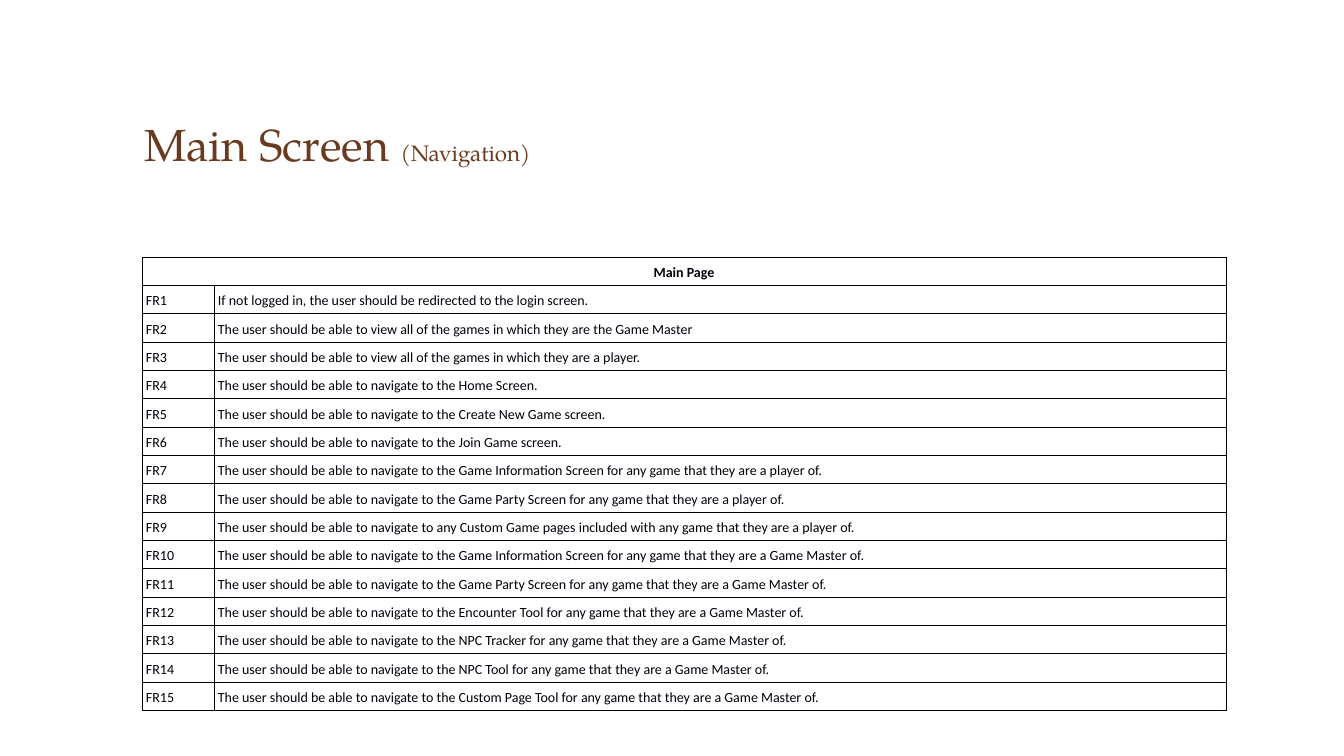
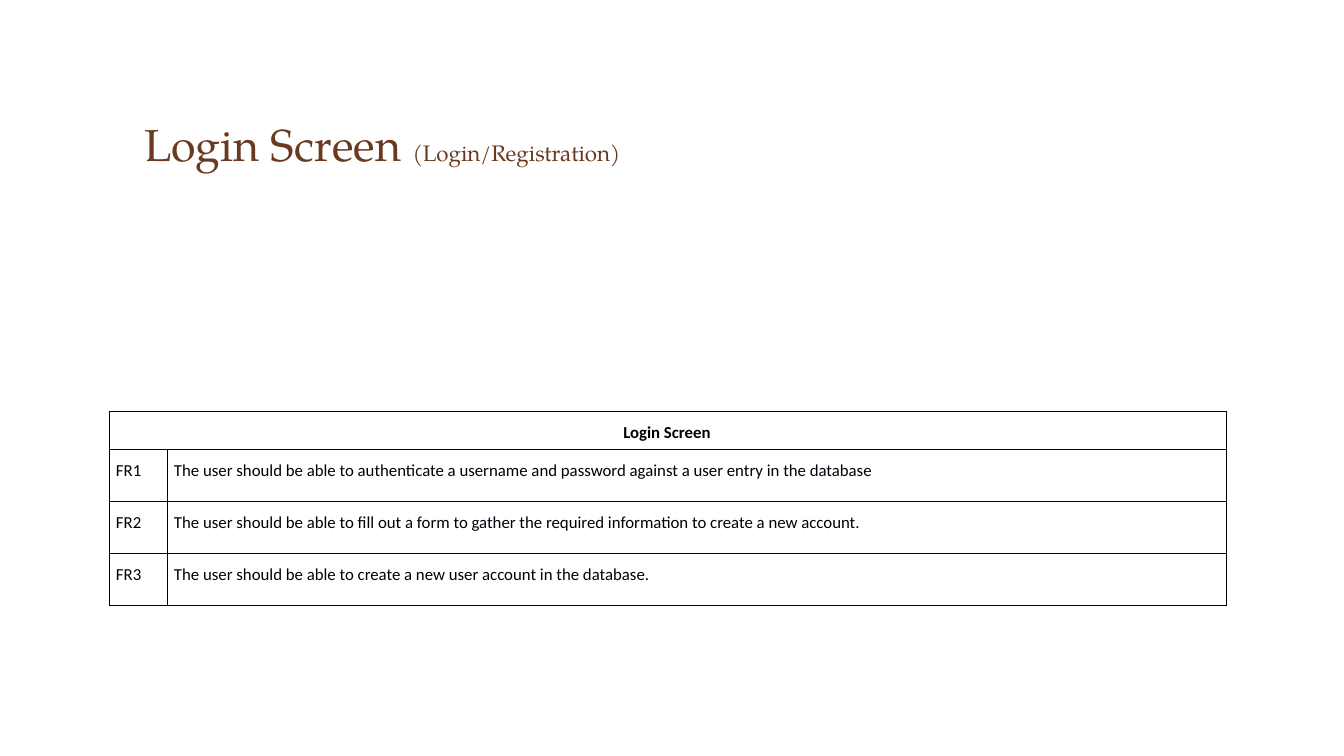
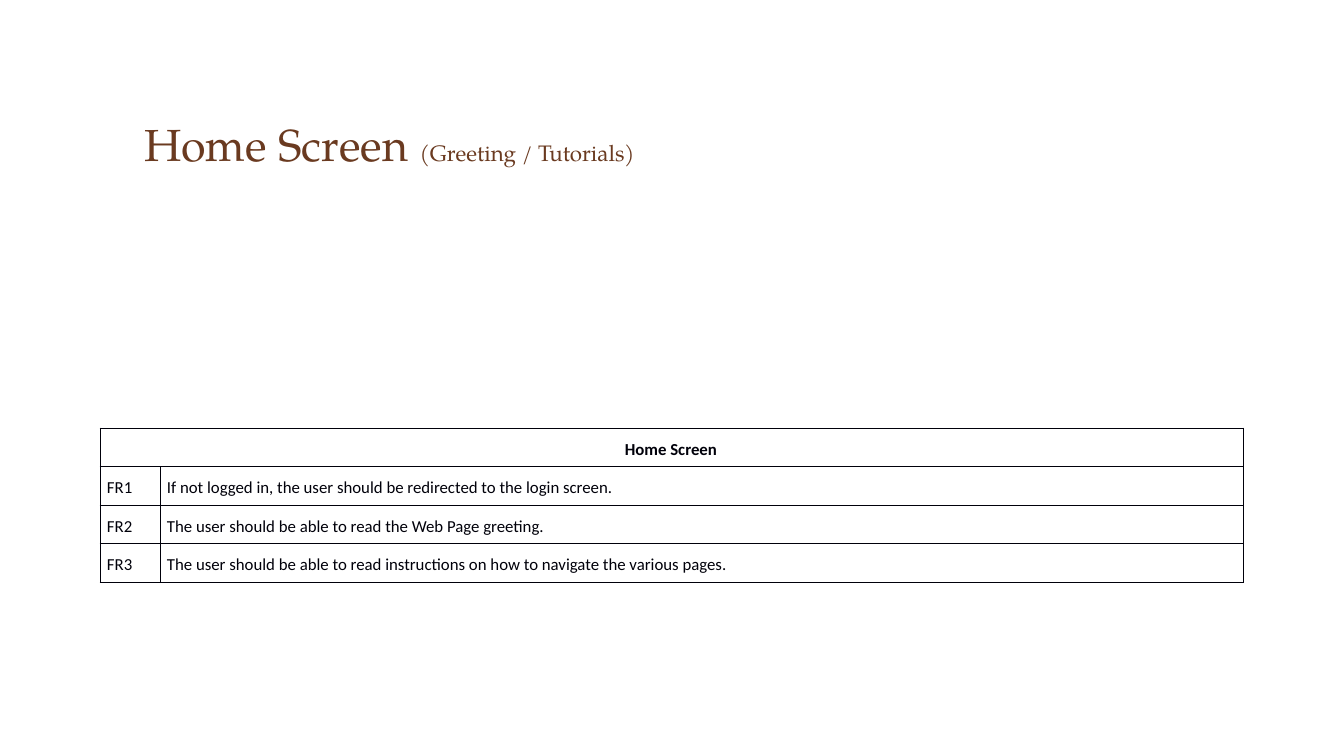
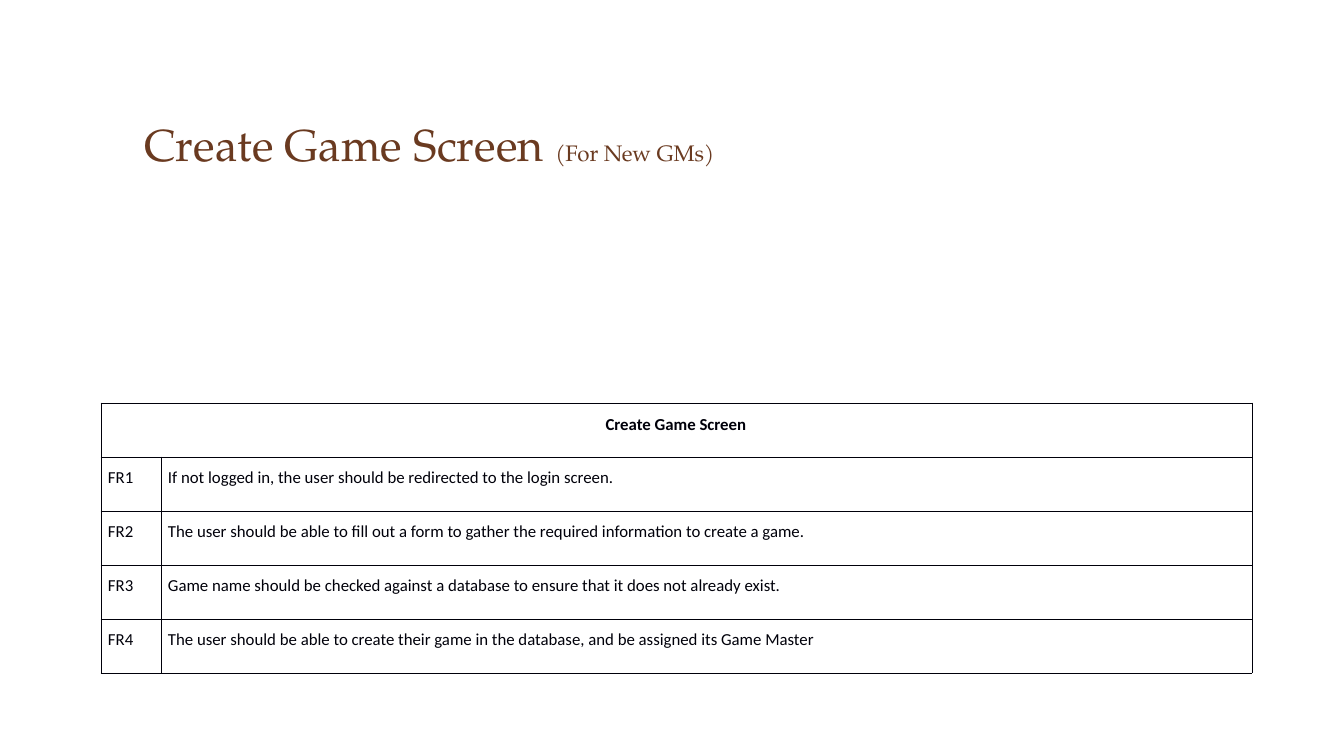
"""Build four slides that list the functional requirements of each screen."""
from lxml.etree import SubElement
from pptx import Presentation
from pptx.dml.color import RGBColor
from pptx.enum.text import MSO_ANCHOR, PP_ALIGN
from pptx.oxml.ns import qn
from pptx.util import Emu, Pt

BROWN = "6A3A20"
INK = "00000A"
TITLE_FONT = "TeX Gyre Pagella"
TABLE_FONT = "Calibri"
BORDER = Pt(0.6)


def px(count):
    """Turn pixels into EMU."""
    return Emu(round(count * 914400 / 100.8))


def write(para, text, *, size, font, color, bold=False):
    """Add one formatted run to a paragraph."""
    span = para.add_run()
    span.text = text
    span.font.size = Pt(size)
    span.font.name = font
    span.font.bold = bold
    span.font.color.rgb = RGBColor.from_string(color)


screens = [
    dict(
        title="Main Screen", note="(Navigation)", heading="Main Page",
        left=142, top=257, columns=(72, 1012), heading_height=25, row_height=25,
        size=10, insets=(4, 4, 4, 4),
        requirements=[
            "If not logged in, the user should be redirected to the login screen.",
            "The user should be able to view all of the games in which they are the Game Master",
            "The user should be able to view all of the games in which they are a player.",
            "The user should be able to navigate to the Home Screen.",
            "The user should be able to navigate to the Create New Game screen.",
            "The user should be able to navigate to the Join Game screen.",
            "The user should be able to navigate to the Game Information Screen for any game that they are a player of.",
            "The user should be able to navigate to the Game Party Screen for any game that they are a player of.",
            "The user should be able to navigate to any Custom Game pages included with any game that they are a player of.",
            "The user should be able to navigate to the Game Information Screen for any game that they are a Game Master of.",
            "The user should be able to navigate to the Game Party Screen for any game that they are a Game Master of.",
            "The user should be able to navigate to the Encounter Tool for any game that they are a Game Master of.",
            "The user should be able to navigate to the NPC Tracker for any game that they are a Game Master of.",
            "The user should be able to navigate to the NPC Tool for any game that they are a Game Master of.",
            "The user should be able to navigate to the Custom Page Tool for any game that they are a Game Master of.",
        ],
    ),
    dict(
        title="Login Screen", note="(Login/Registration)", heading="Login Screen",
        left=109, top=411, columns=(58, 1059), heading_height=35, row_height=52,
        size=12, insets=(7, 7, 8, 7),
        requirements=[
            "The user should be able to authenticate a username and password against a user entry in the database",
            "The user should be able to fill out a form to gather the required information to create a new account.",
            "The user should be able to create a new user account in the database.",
        ],
    ),
    dict(
        title="Home Screen", note="(Greeting / Tutorials)", heading="Home Screen",
        left=100, top=428, columns=(60, 1083), heading_height=38, row_height=38,
        size=12, insets=(7, 7, 8, 7),
        requirements=[
            "If not logged in, the user should be redirected to the login screen.",
            "The user should be able to read the Web Page greeting.",
            "The user should be able to read instructions on how to navigate the various pages.",
        ],
    ),
    dict(
        title="Create Game Screen", note="(For New GMs)", heading="Create Game Screen",
        left=101, top=403, columns=(60, 1091), heading_height=54, row_height=54,
        size=12, insets=(7, 7, 8, 7),
        requirements=[
            "If not logged in, the user should be redirected to the login screen.",
            "The user should be able to fill out a form to gather the required information to create a game.",
            "Game name should be checked against a database to ensure that it does not already exist.",
            "The user should be able to create their game in the database, and be assigned its Game Master",
        ],
    ),
]

deck = Presentation()
deck.slide_width, deck.slide_height = px(1344), px(756)

layout = deck.slide_layouts.get_by_name("Title Only")
layout_title = layout.placeholders[0]
layout_title.left, layout_title.top = px(134), px(47)
layout_title.width, layout_title.height = px(1075), px(129)
layout_title.text_frame.vertical_anchor = MSO_ANCHOR.BOTTOM

for screen in screens:
    page = deck.slides.add_slide(layout)
    para = page.shapes.title.text_frame.paragraphs[0]
    para.alignment = PP_ALIGN.LEFT
    write(para, screen["title"] + " ", size=32, font=TITLE_FONT, color=BROWN)
    write(para, screen["note"], size=16, font=TITLE_FONT, color=BROWN)

    rows = [(screen["heading"], "")]
    rows += [(f"FR{number}", text) for number, text in enumerate(screen["requirements"], 1)]
    heights = [screen["heading_height"]] + [screen["row_height"]] * len(screen["requirements"])
    table = page.shapes.add_table(
        len(rows), 2, px(screen["left"]), px(screen["top"]),
        px(sum(screen["columns"])), px(sum(heights)),
    ).table
    table.first_row = False
    table.horz_banding = False
    for column, width in zip(table.columns, screen["columns"]):
        column.width = px(width)
    table.cell(0, 0).merge(table.cell(0, 1))

    for row_index, (texts, height) in enumerate(zip(rows, heights)):
        is_heading = row_index == 0
        table.rows[row_index].height = px(height)
        for cell, text in zip(table.rows[row_index].cells, texts):
            (cell.margin_left, cell.margin_top,
             cell.margin_right, cell.margin_bottom) = map(px, screen["insets"])
            cell.vertical_anchor = MSO_ANCHOR.TOP
            properties = cell._tc.get_or_add_tcPr()
            for side in ("a:lnL", "a:lnR", "a:lnT", "a:lnB"):
                line = SubElement(properties, qn(side), w=str(BORDER))
                fill = SubElement(line, qn("a:solidFill"))
                SubElement(fill, qn("a:srgbClr"), val=INK)
            cell.fill.background()
            if text:
                para = cell.text_frame.paragraphs[0]
                para.alignment = PP_ALIGN.CENTER if is_heading else PP_ALIGN.LEFT
                para.line_spacing = 1.2
                para.space_after = Pt(7.2)
                write(para, text, size=screen["size"], font=TABLE_FONT, color=INK, bold=is_heading)

deck.save("out.pptx")
